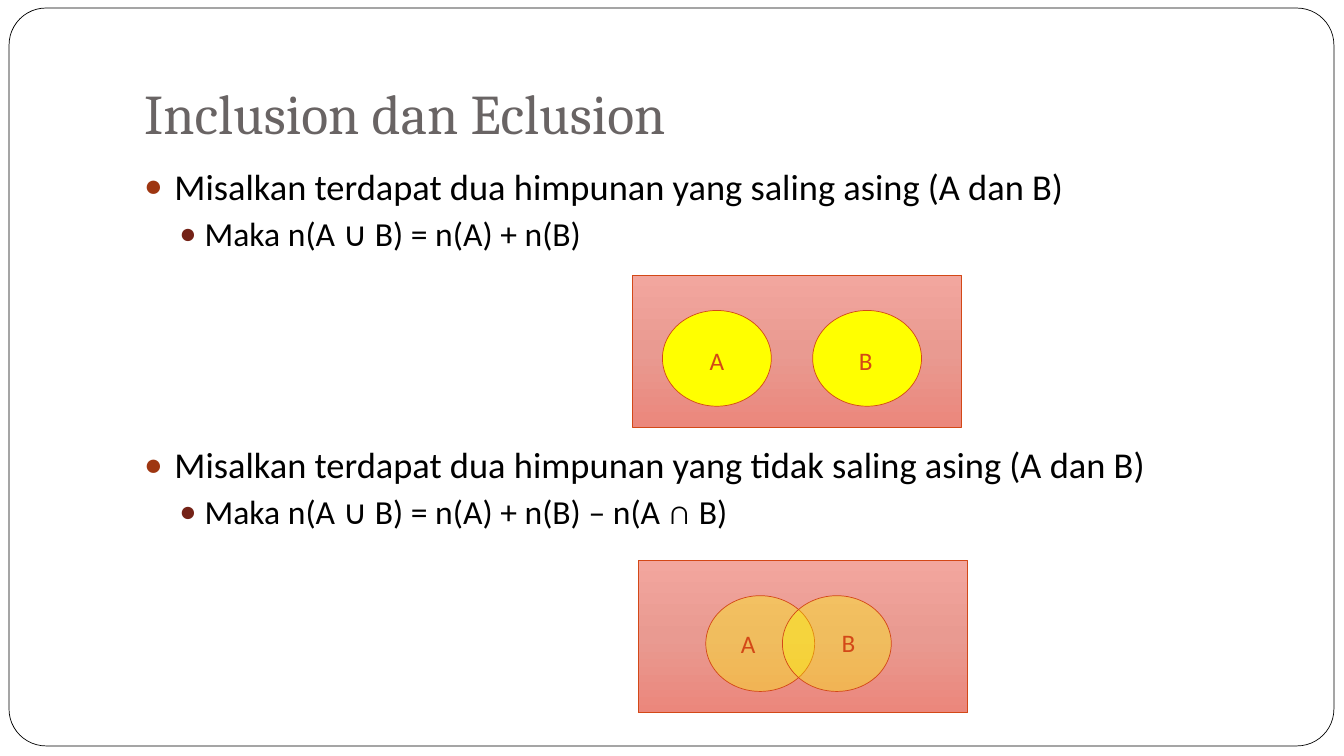
from copy import deepcopy
from dataclasses import dataclass

from lxml.etree import SubElement
from pptx import Presentation
from pptx.dml.color import RGBColor
from pptx.enum.shapes import MSO_SHAPE
from pptx.enum.text import MSO_ANCHOR, MSO_AUTO_SIZE, PP_ALIGN
from pptx.oxml.ns import qn
from pptx.util import Inches, Pt


@dataclass(frozen=True)
class Theme:
    heading_font: str = "Cambria"
    body_font: str = "Calibri"
    title_color: str = "696464"
    text_color: str = "000000"
    accent: str = "D34817"
    frame_line: str = "000000"
    paper: str = "FFFFFF"
    set_fill: str = "FFFF00"
    universe: tuple = ((0, "F2A69E"), (0.5, "E99A91"), (1, "EB877C"))
    bullet_colors: tuple = ("9E3611", "742217")
    body_sizes: tuple = (26, 24)
    title_size: int = 40
    label_size: int = 18
    line_width: float = 0.5


THEME = Theme()
INDENTS = ((0.3, -0.3), (0.6, -0.25))
SET_SIZE = (1.08, 0.95)

# Text, level, space before in points
BULLETS = (
    ("Misalkan terdapat dua himpunan yang saling asing (A dan B)", 0, 5.8),
    ("Maka n(A ∪ B) = n(A) + n(B)", 1, 3.7),
    ("Misalkan terdapat dua himpunan yang tidak saling asing (A dan B)", 0, 135),
    ("Maka n(A ∪ B) = n(A) + n(B) – n(A ∩ B)", 1, 3.7),
)


def rgb(color):
    return RGBColor.from_string(color)


def set_all(target, formats):
    for name, value in formats.items():
        setattr(target, name, value)


def place(shape, left, top, width, height):
    set_all(shape, {"left": Inches(left), "top": Inches(top),
                    "width": Inches(width), "height": Inches(height)})


def write(p, text, font, size, color):
    r = p.add_run()
    r.text = text
    set_all(r.font, {"name": font, "size": Pt(size)})
    r.font.color.rgb = rgb(color)


def add_outlined(s, kind, box, line_color=THEME.accent):
    sp = s.shapes.add_shape(kind, *map(Inches, box))
    sp.shadow.inherit = False
    sp.line.color.rgb = rgb(line_color)
    sp.line.width = Pt(THEME.line_width)
    return sp


def fill_solid(sp, color, opacity=100):
    sp.fill.solid()
    sp.fill.fore_color.rgb = rgb(color)
    if opacity < 100:
        tint = sp.element.spPr.find(qn("a:solidFill"))[0]
        SubElement(tint, qn("a:alpha"), val=str(opacity * 1000))


def fill_gradient(sp, stops):
    sp.fill.gradient()
    sp.fill.gradient_angle = 270
    gs_list = sp.element.spPr.find(qn("a:gradFill")).find(qn("a:gsLst"))
    gs_list.insert(1, deepcopy(gs_list[0]))
    for stop, (position, color) in zip(sp.fill.gradient_stops, stops):
        stop.position = position
        stop.color.rgb = rgb(color)


def add_frame(s):
    sp = add_outlined(s, MSO_SHAPE.ROUNDED_RECTANGLE,
                      (0.09, 0.08, 13.14, 7.32), THEME.frame_line)
    sp.adjustments[0] = 0.05
    fill_solid(sp, THEME.paper)
    s.shapes.title.element.addprevious(sp.element)


def fill_title(s, text):
    title = s.shapes.title
    place(title, 1.33, 0.3, 11.33, 1.25)
    tf = title.text_frame
    set_all(tf, {"vertical_anchor": MSO_ANCHOR.BOTTOM, "word_wrap": True,
                 "auto_size": MSO_AUTO_SIZE.NONE, "margin_bottom": Inches(0.1)})
    p = tf.paragraphs[0]
    p.alignment = PP_ALIGN.LEFT
    write(p, text, THEME.heading_font, THEME.title_size, THEME.title_color)


def set_bullet(p, level):
    left, hanging = INDENTS[level]
    pPr = p._p.get_or_add_pPr()
    pPr.set("marL", str(Inches(left)))
    pPr.set("indent", str(Inches(hanging)))
    color = SubElement(pPr, qn("a:buClr"))
    SubElement(color, qn("a:srgbClr"), val=THEME.bullet_colors[level])
    SubElement(pPr, qn("a:buSzPct"), val="85000")
    SubElement(pPr, qn("a:buChar"), char="●")


def fill_body(s, bullets):
    body = s.placeholders[1]
    place(body, 1.33, 1.58, 11.33, 5)
    tf = body.text_frame
    set_all(tf, {"auto_size": MSO_AUTO_SIZE.NONE, "word_wrap": True})
    for i, (text, level, space) in enumerate(bullets):
        p = tf.add_paragraph() if i else tf.paragraphs[0]
        set_all(p, {"level": level, "space_before": Pt(space)})
        set_bullet(p, level)
        write(p, text, THEME.body_font, THEME.body_sizes[level], THEME.text_color)


def add_label(s, text, left, top):
    box = s.shapes.add_textbox(*map(Inches, (left, top, 0.35, 0.41)))
    tf = box.text_frame
    set_all(tf, {"word_wrap": False, "vertical_anchor": MSO_ANCHOR.MIDDLE,
                 "auto_size": MSO_AUTO_SIZE.SHAPE_TO_FIT_TEXT})
    write(tf.paragraphs[0], text, THEME.body_font, THEME.label_size, THEME.accent)


def add_venn(s, left, top, set_lefts, labels, opacity=100):
    universe = add_outlined(s, MSO_SHAPE.RECTANGLE, (left, top, 3.27, 1.51))
    fill_gradient(universe, THEME.universe)
    for set_left in set_lefts:
        circle = add_outlined(s, MSO_SHAPE.OVAL, (set_left, top + 0.35, *SET_SIZE))
        fill_solid(circle, THEME.set_fill, opacity)
    for label in labels:
        add_label(s, *label)


def main():
    prs = Presentation()
    set_all(prs, {"slide_width": Inches(13.33), "slide_height": Inches(7.5)})
    s = prs.slides.add_slide(prs.slide_layouts[1])

    # Frame and text
    add_frame(s)
    fill_title(s, "Inclusion dan Eclusion")
    fill_body(s, BULLETS)

    # Disjoint sets, then overlapping sets
    add_venn(s, 6.27, 2.73, (6.57, 8.06), (("A", 6.94, 3.37), ("B", 8.42, 3.37)))
    add_venn(s, 6.33, 5.56, (7, 7.76), (("B", 8.25, 6.17), ("A", 7.25, 6.18)), 35)

    prs.save("out.pptx")


if __name__ == "__main__":
    main()
